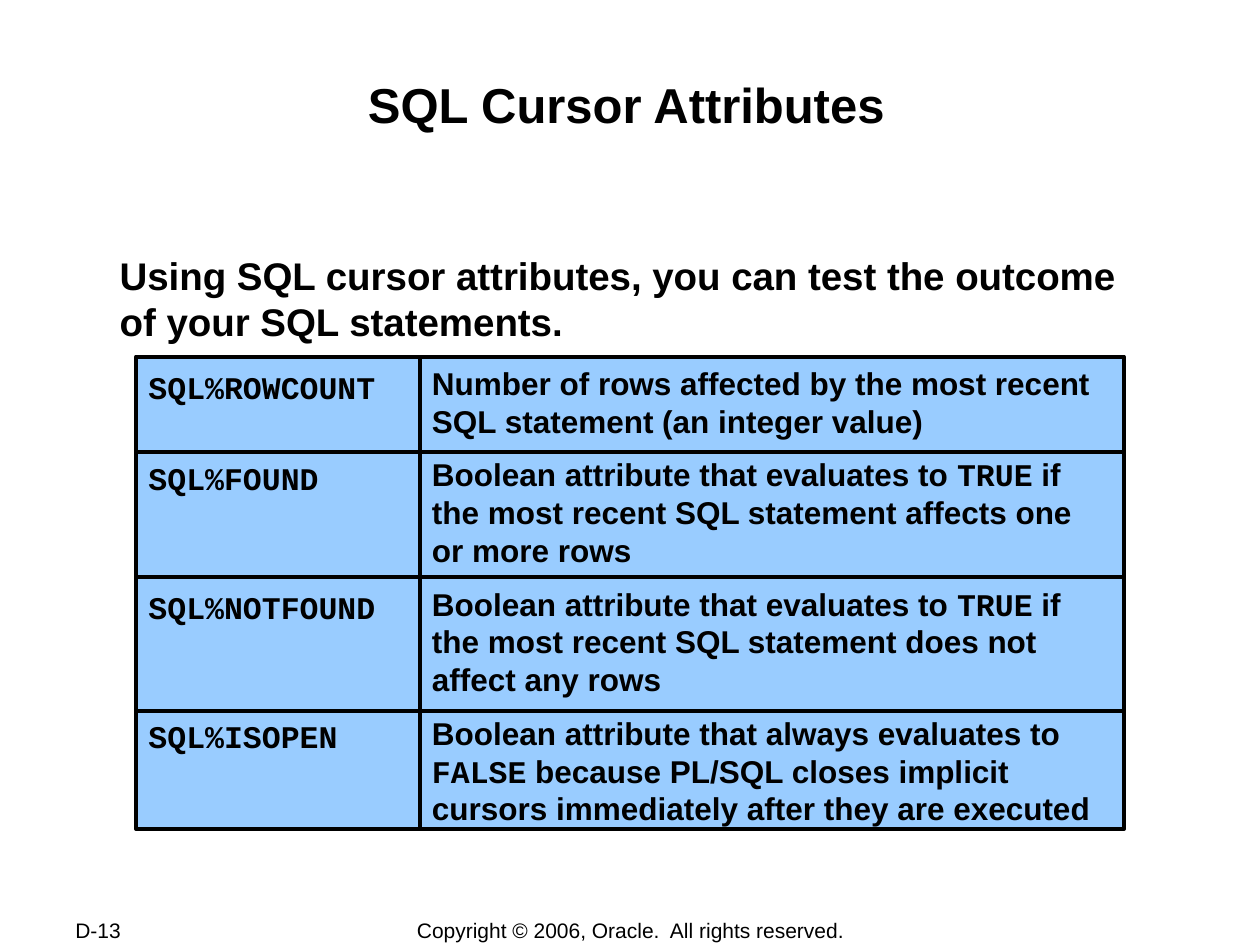
import dataclasses

import lxml.etree
import pptx
import pptx.dml.color
import pptx.enum.shapes
import pptx.enum.text
import pptx.oxml.ns
import pptx.util

Inches = pptx.util.Inches
Pt = pptx.util.Pt
Align = pptx.enum.text.PP_ALIGN
Anchor = pptx.enum.text.MSO_ANCHOR

BLACK = pptx.dml.color.RGBColor(0x00, 0x00, 0x00)
LIGHT_BLUE = pptx.dml.color.RGBColor(0x99, 0xCC, 0xFF)
SANS, MONO = "Arial", "Courier New"
BORDER = Pt(2.25)

Runs = list[tuple[str, str]]  # (text, font)


@dataclasses.dataclass
class Attribute:
    name: str
    meaning: Runs
    lines: int  # lines that the meaning takes


ATTRIBUTES = [
    Attribute("SQL%ROWCOUNT", [
        ("Number of rows affected by the most recent SQL statement (an integer value)", SANS),
    ], 2),
    Attribute("SQL%FOUND", [
        ("Boolean attribute that evaluates to ", SANS), ("TRUE", MONO),
        (" if the most recent SQL statement affects one or more rows", SANS),
    ], 3),
    Attribute("SQL%NOTFOUND", [
        ("Boolean attribute that evaluates to ", SANS), ("TRUE", MONO),
        (" if the most recent SQL statement does not affect any rows", SANS),
    ], 3),
    Attribute("SQL%ISOPEN", [
        ("Boolean attribute that always evaluates to ", SANS), ("FALSE", MONO),
        (" because PL/SQL closes implicit cursors immediately after they are executed", SANS),
    ], 3),
]
LEFT, MIDDLE, RIGHT = 1.08, 3.33, 8.92
TOP, HEIGHT = 2.83, 3.75
DIVIDERS = [3.59, 4.58, 5.64]
ROW_GAP, LINE_HEIGHT = 9, 21.5  # points


def write(sp, paragraphs: list[Runs], *, size: float, bold: bool = True, align=Align.LEFT,
          anchor=Anchor.TOP, inset_x: float = 0.01, inset_y: float = 0.01,
          gaps: list[float] | None = None) -> None:
    tf = sp.text_frame
    tf.word_wrap = True
    tf.vertical_anchor = anchor
    tf.margin_left = tf.margin_right = Inches(inset_x)
    tf.margin_top = tf.margin_bottom = Inches(inset_y)
    for i, runs in enumerate(paragraphs):
        p = tf.add_paragraph() if i else tf.paragraphs[0]
        p.alignment = align
        if i and gaps:
            p.space_before = Pt(gaps[i - 1])
        for text, font in runs:
            r = p.add_run()
            r.text = text
            r.font.name = font
            r.font.size = Pt(size)
            r.font.bold = bold
            r.font.color.rgb = BLACK


def add_text(s, text: str, left: float, top: float, width: float, height: float,
             **text_format) -> None:
    sp = s.shapes.add_textbox(Inches(left), Inches(top), Inches(width), Inches(height))
    write(sp, [[(text, SANS)]], **text_format)


def add_column(s, left: float, right: float, paragraphs: list[Runs], **text_format) -> None:
    sp = s.shapes.add_shape(pptx.enum.shapes.MSO_SHAPE.RECTANGLE, Inches(left), Inches(TOP),
                            Inches(right - left), Inches(HEIGHT))
    sp.shadow.inherit = False
    sp.fill.solid()
    sp.fill.fore_color.rgb = LIGHT_BLUE
    sp.line.color.rgb = BLACK
    sp.line.width = BORDER
    write(sp, paragraphs, size=18, inset_x=0.1, **text_format)


def add_divider(s, y: float) -> None:
    line = s.shapes.add_connector(pptx.enum.shapes.MSO_CONNECTOR.STRAIGHT,
                                  Inches(LEFT), Inches(y), Inches(RIGHT), Inches(y))
    line.line.color.rgb = BLACK
    line.line.width = BORDER
    lxml.etree.SubElement(line._element.spPr, pptx.oxml.ns.qn("a:effectLst"))


def main() -> None:
    prs = pptx.Presentation()
    prs.slide_width, prs.slide_height = Inches(10), Inches(7.5)
    s = prs.slides.add_slide(prs.slide_layouts[6])

    # Footer
    footer = dict(inset_x=0.1, inset_y=0.05, anchor=Anchor.MIDDLE, size=12, bold=False)
    add_text(s, "D-13", 0.5, 7.28, 1.06, 0.2, **footer)
    add_text(s, "Copyright © 2006, Oracle.  All rights reserved.",
             2.76, 7.28, 4.49, 0.21, align=Align.CENTER, **footer)

    # Title and introduction
    add_text(s, "SQL Cursor Attributes", 0.97, 0.58, 8, 0.96, size=28, align=Align.CENTER)
    add_text(s, "Using SQL cursor attributes, you can test the outcome of your SQL statements.",
             0.94, 1.99, 8.06, 0.76, size=22)

    # Meanings, and names spaced to start level with them
    add_column(s, MIDDLE, RIGHT, [a.meaning for a in ATTRIBUTES],
               inset_y=0.06, gaps=[ROW_GAP] * len(DIVIDERS))
    add_column(s, LEFT, MIDDLE, [[(a.name, MONO)] for a in ATTRIBUTES], inset_y=0.09,
               gaps=[ROW_GAP + LINE_HEIGHT * (a.lines - 1) for a in ATTRIBUTES[:-1]])
    for y in DIVIDERS:
        add_divider(s, y)

    prs.save("out.pptx")


if __name__ == "__main__":
    main()
